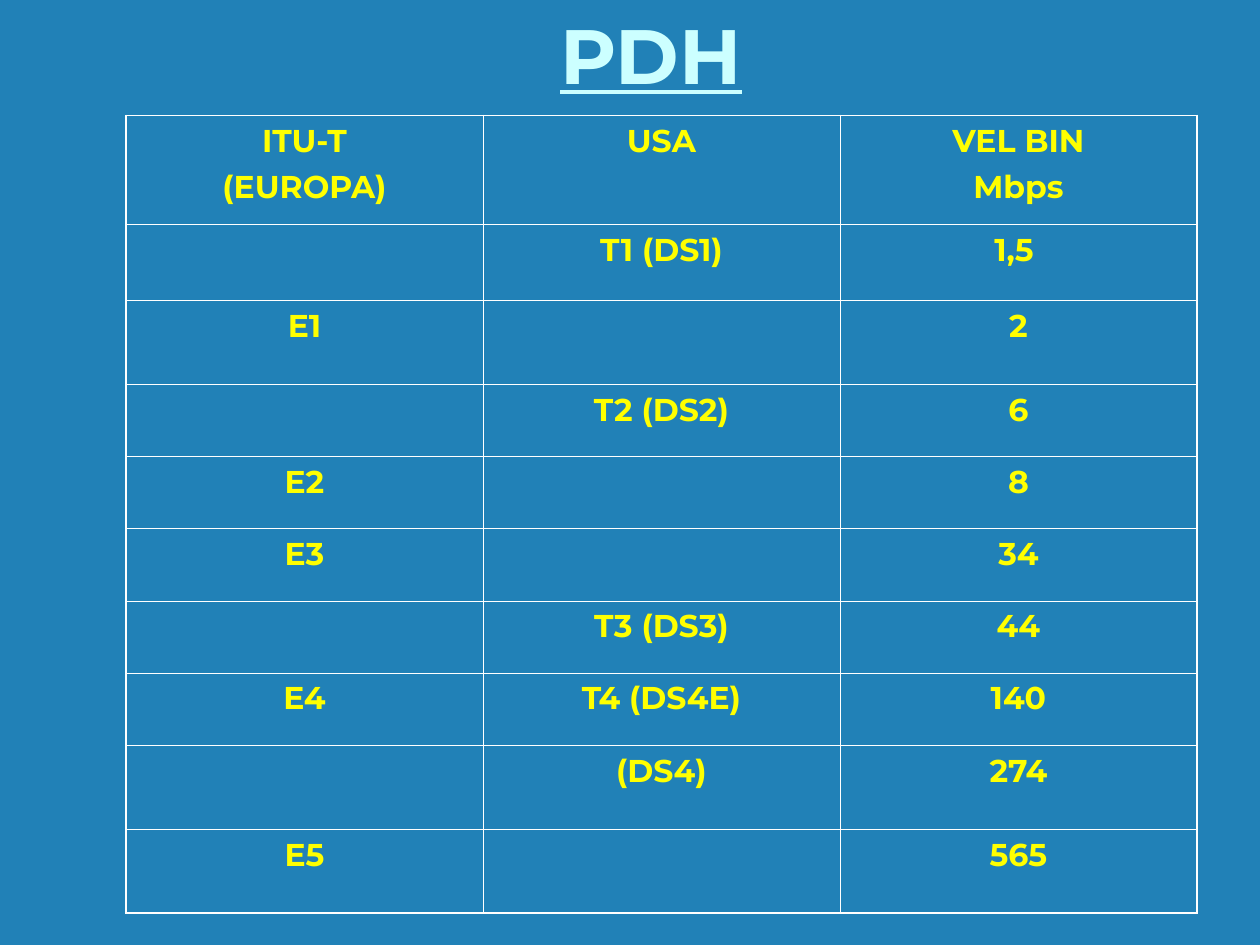
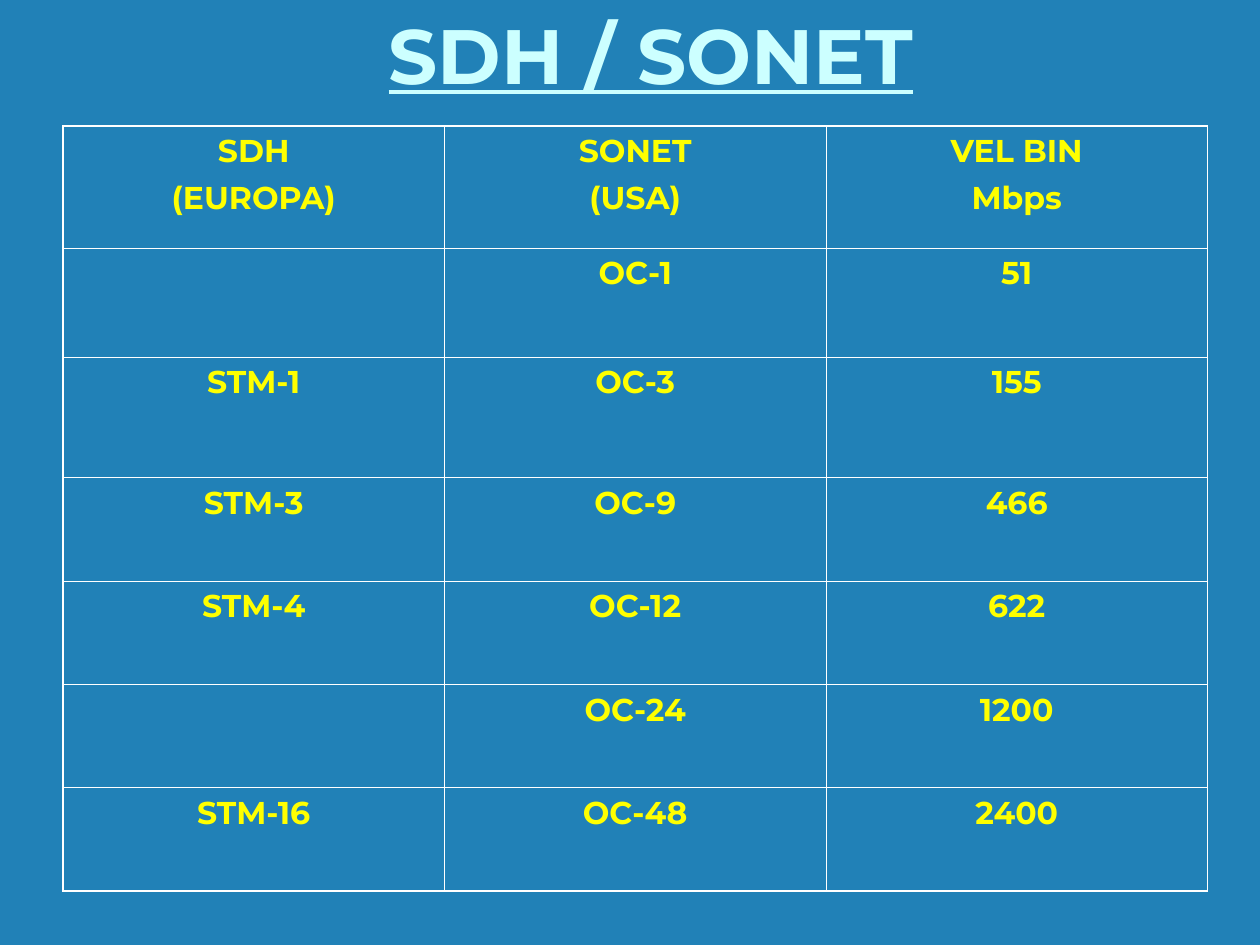
from dataclasses import dataclass

from lxml import etree
from pptx import Presentation
from pptx.dml.color import RGBColor
from pptx.enum.text import MSO_ANCHOR, PP_ALIGN
from pptx.oxml.ns import qn
from pptx.slide import Slide
from pptx.table import _Cell
from pptx.text.text import _Paragraph
from pptx.util import Length, Pt

CENTER = PP_ALIGN.CENTER
BOTTOM = MSO_ANCHOR.BOTTOM

BACKGROUND = RGBColor(0x21, 0x81, 0xB7)
TITLE_COLOR = RGBColor(0xCC, 0xFF, 0xFF)
CELL_COLOR = RGBColor(0xFF, 0xFF, 0x00)
BORDER_COLOR = RGBColor(0xFF, 0xFF, 0xFF)

FONT_NAME = "Montserrat"
TITLE_SIZE = Pt(44)
CELL_SIZE = Pt(18)
LINE_GAP = Pt(4.5)
OUTER_BORDER = Pt(1.08)
INNER_BORDER = Pt(0.45)
BLANK_LAYOUT = 6


@dataclass(frozen=True)
class RateSlide:
    title: str
    left: float
    top: float
    column_width: float
    row_heights: list[float]
    rows: list[tuple[str, str, str]]


RATE_SLIDES = [
    RateSlide(
        title="PDH",
        left=72,
        top=66,
        column_width=204,
        row_heights=[62.5, 43.2, 48] + [41.25] * 5 + [48] * 2,
        rows=[
            ("ITU-T\n(EUROPA)", "USA", "VEL BIN\nMbps"),
            ("", "T1 (DS1)", "1,5 "),
            ("E1", "", "2"),
            ("", "T2 (DS2)", "6"),
            ("E2", "", "8"),
            ("E3", "", "34"),
            ("", "T3 (DS3)", "44"),
            ("E4", "T4 (DS4E)", "140"),
            ("", "(DS4)", "274"),
            ("E5", "", "565"),
        ],
    ),
    RateSlide(
        title="SDH / SONET",
        left=36,
        top=72,
        column_width=218,
        row_heights=[69.75, 62.25, 69] + [59.1] * 4,
        rows=[
            ("SDH\n(EUROPA)", "SONET\n(USA)", "VEL BIN\nMbps"),
            ("", "OC-1", "51"),
            ("STM-1", "OC-3", "155"),
            ("STM-3", "OC-9", "466"),
            ("STM-4", "OC-12", "622"),
            ("", "OC-24", "1200"),
            ("STM-16", "OC-48", "2400"),
        ],
    ),
]


def format_paragraph(paragraph: _Paragraph, size: Length, color: RGBColor) -> None:
    paragraph.alignment = CENTER
    font = paragraph.font
    font.name = FONT_NAME
    font.size = size
    font.bold = True
    font.color.rgb = color


def add_title(slide: Slide, title: str) -> None:
    title_box = slide.shapes.add_textbox(Pt(66), Pt(0), Pt(612), Pt(60.5))
    text_frame = title_box.text_frame
    text_frame.word_wrap = True
    text_frame.vertical_anchor = BOTTOM
    text_frame.text = title
    paragraph = text_frame.paragraphs[0]
    format_paragraph(paragraph, TITLE_SIZE, TITLE_COLOR)
    paragraph.font.underline = True


def set_borders(cell: _Cell, outer_edges: dict[str, bool]) -> None:
    """Draw the four cell borders, heavier where the edge bounds the table."""
    properties = cell._tc.get_or_add_tcPr()
    for edge, is_outer in outer_edges.items():
        width = OUTER_BORDER if is_outer else INNER_BORDER
        line = etree.SubElement(properties, qn(f"a:ln{edge}"), w=str(width))
        fill = etree.SubElement(line, qn("a:solidFill"))
        etree.SubElement(fill, qn("a:srgbClr"), val=str(BORDER_COLOR))


def fill_cell(cell: _Cell, text: str) -> None:
    cell.fill.background()
    cell.text_frame.text = text
    for index, paragraph in enumerate(cell.text_frame.paragraphs):
        format_paragraph(paragraph, CELL_SIZE, CELL_COLOR)
        if index > 0:
            paragraph.space_before = LINE_GAP


def add_rate_table(slide: Slide, content: RateSlide) -> None:
    row_count, column_count = len(content.rows), len(content.rows[0])
    table = slide.shapes.add_table(
        row_count,
        column_count,
        Pt(content.left),
        Pt(content.top),
        Pt(content.column_width * column_count),
        Pt(sum(content.row_heights)),
    ).table
    table.first_row = False
    table.horz_banding = False
    for column in table.columns:
        column.width = Pt(content.column_width)
    for row_index, texts in enumerate(content.rows):
        table.rows[row_index].height = Pt(content.row_heights[row_index])
        for column_index, text in enumerate(texts):
            cell = table.cell(row_index, column_index)
            set_borders(cell, {
                "L": column_index == 0,
                "R": column_index == column_count - 1,
                "T": row_index == 0,
                "B": row_index == row_count - 1,
            })
            fill_cell(cell, text)


def main() -> None:
    presentation = Presentation()
    presentation.slide_width = Pt(720)
    presentation.slide_height = Pt(540)
    for content in RATE_SLIDES:
        slide = presentation.slides.add_slide(presentation.slide_layouts[BLANK_LAYOUT])
        slide.background.fill.solid()
        slide.background.fill.fore_color.rgb = BACKGROUND
        add_title(slide, content.title)
        add_rate_table(slide, content)
    presentation.save("out.pptx")


if __name__ == "__main__":
    main()
